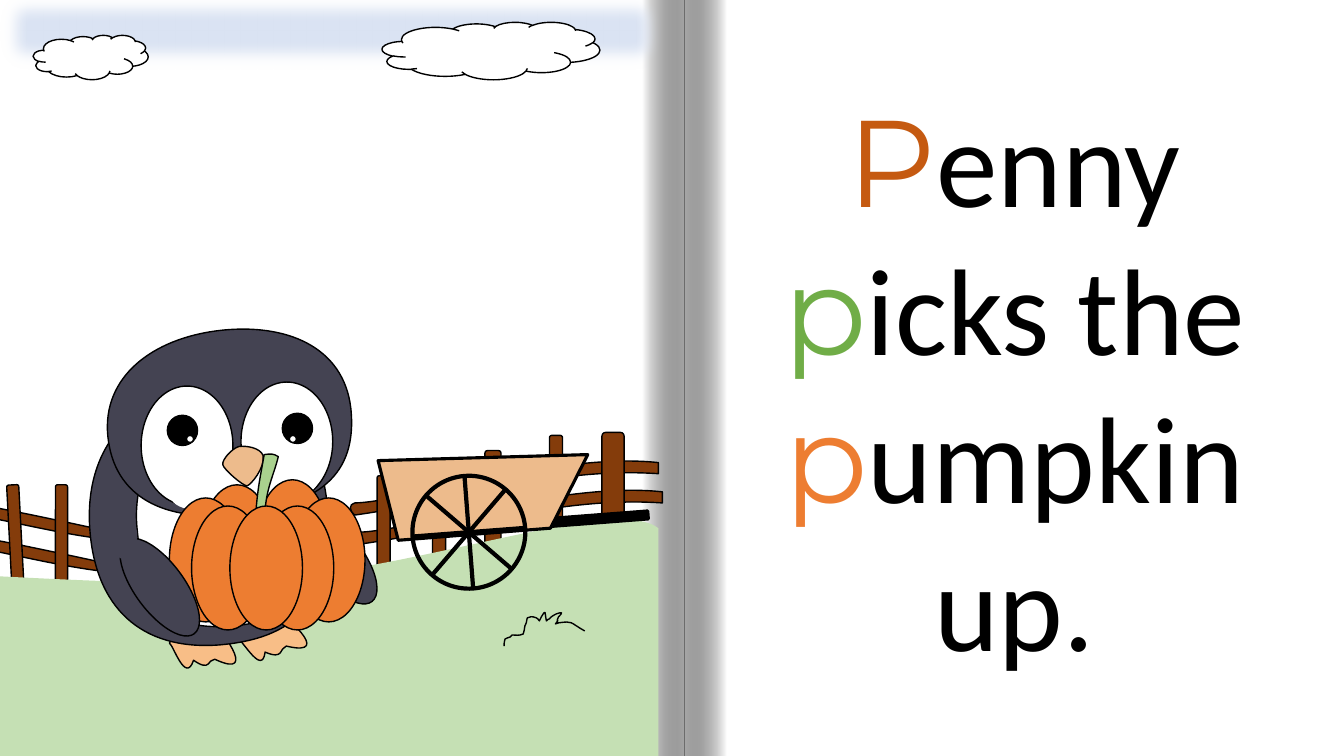
from dataclasses import dataclass
from math import cos, radians, sin

from lxml import etree
from pptx import Presentation
from pptx.dml.color import RGBColor
from pptx.enum.shapes import MSO_CONNECTOR, MSO_SHAPE
from pptx.enum.text import MSO_ANCHOR, MSO_AUTO_SIZE, PP_ALIGN
from pptx.oxml.ns import qn
from pptx.util import Inches, Pt

RECT, ROUNDED = MSO_SHAPE.RECTANGLE, MSO_SHAPE.ROUNDED_RECTANGLE
OVAL, CLOUD = MSO_SHAPE.OVAL, MSO_SHAPE.CLOUD
STRAIGHT = MSO_CONNECTOR.STRAIGHT


@dataclass(frozen=True)
class Theme:
    black: str = "000000"
    white: str = "FFFFFF"
    sky: str = "DAE3F3"
    grass: str = "C5E0B4"
    wood: str = "843C0B"
    feather: str = "444352"
    foot: str = "F8BE87"
    tan: str = "EDBB8C"
    orange: str = "ED7D31"
    stem: str = "A9D18E"
    rust: str = "C55A11"
    green: str = "70AD47"
    body_font: str = "Calibri"
    letter_font: str = "Montserrat"
    size: int = 88


T = Theme()


def curve_points(p0, p1, p2, p3, steps=12):
    for i in range(steps + 1):
        t = i / steps
        k = ((1 - t)**3, 3 * t * (1 - t)**2, 3 * t * t * (1 - t), t**3)
        yield tuple(sum(f * p[a] for f, p in zip(k, (p0, p1, p2, p3))) for a in (0, 1))


# Drawing helpers: positions are inches from the region's origin
class Region:
    def __init__(self, shapes, x, y):
        self.shapes, self.x, self.y = shapes, x, y

    def at(self, x, y):
        return Inches(self.x + x), Inches(self.y + y)

    def paint(self, sp, fill, line, width):
        sp.shadow.inherit = False
        if fill:
            sp.fill.solid()
            sp.fill.fore_color.rgb = RGBColor.from_string(fill)
        else:
            sp.fill.background()
        if line:
            sp.line.color.rgb = RGBColor.from_string(line)
            sp.line.width = Pt(width)
        else:
            sp.line.fill.background()
        return sp

    def shape(self, kind, x, y, w, h, fill, line=T.black, width=1, rot=0):
        sp = self.shapes.add_shape(kind, *self.at(x, y), Inches(w), Inches(h))
        sp.rotation = rot
        return self.paint(sp, fill, line, width)

    def outline(self, start, segments, fill, line=T.black, width=1, close=True):
        """Segments of 2 numbers are lines, of 6 numbers are cubic curves."""
        start = self.at(*start)
        steps = [[self.at(*s[i:i + 2]) for i in range(0, len(s), 2)] for s in segments]
        builder = self.shapes.build_freeform(*start, scale=1.0)
        builder.add_line_segments([s[-1] for s in steps], close=close)
        sp = builder.convert_to_shape()
        # Frame the true extent of the curves
        extent, last = [start], start
        for s in steps:
            extent += curve_points(last, *s) if len(s) == 3 else s
            last = s[-1]
        xs, ys = ([int(v) for v in axis] for axis in zip(*extent))
        sp.left, sp.top = min(xs), min(ys)
        sp.width, sp.height = max(xs) - sp.left, max(ys) - sp.top
        path = sp._element.spPr.find(".//" + qn("a:path"))
        path.set("w", str(sp.width))
        path.set("h", str(sp.height))
        # Turn the straight steps into curves where control points are given
        for node, pts in zip(list(path), [[start]] + steps):
            node.clear()
            if len(pts) == 3:
                node_curve = etree.Element(qn("a:cubicBezTo"))
                path.replace(node, node_curve)
                node = node_curve
            for px, py in pts:
                etree.SubElement(node, qn("a:pt"), x=str(px - sp.left), y=str(py - sp.top))
        return self.paint(sp, fill, line, width)

    def line(self, x1, y1, x2, y2, width):
        cx = self.shapes.add_connector(STRAIGHT, *self.at(x1, y1), *self.at(x2, y2))
        cx.line.color.rgb = RGBColor.from_string(T.black)
        cx.line.width = Pt(width)
        etree.SubElement(cx._element.spPr, qn("a:effectLst"))


def group(slide, x, y):
    return Region(slide.shapes.add_group_shape().shapes, x, y)


# White pages with the shaded fold between them
def draw_pages(slide, x, y, w, h):
    pages = group(slide, x, y)
    pages.shape(RECT, 0, 0, w, h, T.white, None)
    for left, flipped in ((6.79, False), (6.37, True)):
        sp = pages.shape(RECT, left, 0, 0.42, h, T.white, None)
        sp.fill.gradient()
        sp.fill.gradient_angle = 180
        outer, inner = sp.fill.gradient_stops
        outer.position, inner.position = 0, 1
        outer.color.rgb = RGBColor.from_string(T.white)
        inner.color.rgb = RGBColor.from_string(T.black)
        clr = sp._element.spPr.find(".//" + qn("a:gs") + "[2]")[0]
        etree.SubElement(clr, qn("a:alpha"), val="34000")
        if flipped:
            sp._element.spPr.find(qn("a:xfrm")).set("flipH", "1")


# Sky and clouds
def draw_sky(slide, x, y):
    sky = Region(slide.shapes, x, y)
    band = sky.shape(RECT, -0.05, -0.12, 6.67, 0.85, T.sky, T.sky)
    effects = band._element.spPr.find(qn("a:effectLst"))
    etree.SubElement(effects, qn("a:softEdge"), rad=str(Pt(12.5)))
    sky.shape(CLOUD, 0.33, 0.35, 1.14, 0.44, T.white)
    sky.shape(CLOUD, 3.79, 0.22, 2.16, 0.57, T.white)


# Fence, hill and tuft of grass
def draw_field(slide, x, y):
    left_rail = (0.98, 5.25), [
        (-0.5, 4.93, -2.05, 4.59, -3.6, 5.02), (-3.58, 5.12),
        (-1.32, 4.66, -0.16, 5.19, 0.97, 5.34), (1, 5.32, 1.01, 5.28, 0.98, 5.25)]
    right_rail = (6.53, 4.59), [
        (5.56, 4.48, 4.02, 4.98, 3.52, 4.99), (3.46, 5, 3.46, 5.07, 3.52, 5.11),
        (4.53, 4.97, 5.49, 4.63, 6.53, 4.7)]
    left_posts = [(0.55, 4.81, 0.12, 0.96, 0), (0.09, 4.81, 0.12, 0.95, 357)]
    right_posts = [(5.97, 4.29, 0.22, 0.94, 0), (5.45, 4.32, 0.13, 0.94, 0),
                   (4.81, 4.47, 0.16, 0.94, 0), (4.29, 4.57, 0.13, 0.94, 0),
                   (3.74, 4.72, 0.13, 0.93, 0)]
    field = group(slide, x, y)
    for rail, dx, dy, posts in ((left_rail, -0.01, 0.32, left_posts),
                                (right_rail, 0.04, 0.29, right_posts)):
        field.outline(*rail, T.wood)
        Region(field.shapes, x + dx, y + dy).outline(*rail, T.wood)
        for *box, rot in posts:
            field.shape(ROUNDED, *box, T.wood, rot=rot)
    field.outline((6.53, 5.24), [
        (6.09, 4.9, 4.09, 5.69, 2.4, 5.77), (0.71, 5.86, -2.56, 5.43, -3.63, 5.77),
        (-3.58, 8.84), (6.53, 8.84)], T.grass, None)
    field.outline((5.8, 6.26), [
        (5.64, 6.17, 5.69, 6.16, 5.54, 6.18), (5.53, 6.18, 5.52, 6.19, 5.51, 6.19),
        (5.57, 6.11, 5.5, 6.21, 5.54, 6.12), (5.55, 6.1, 5.58, 6.09, 5.57, 6.08),
        (5.56, 6.07, 5.54, 6.09, 5.52, 6.09), (5.5, 6.1, 5.46, 6.12, 5.45, 6.14),
        (5.44, 6.14, 5.43, 6.15, 5.42, 6.16), (5.4, 6.07, 5.42, 6.04, 5.37, 6.12),
        (5.36, 6.13, 5.36, 6.15, 5.35, 6.16), (5.34, 6.15, 5.33, 6.13, 5.32, 6.13),
        (5.27, 6.11, 5.26, 6.12, 5.23, 6.13), (5.23, 6.15, 5.22, 6.16, 5.22, 6.18),
        (5.21, 6.2, 5.2, 6.22, 5.2, 6.25), (5.19, 6.26, 5.2, 6.28, 5.19, 6.29),
        (5.15, 6.31, 5.11, 6.3, 5.08, 6.3), (5.07, 6.31, 5.06, 6.32, 5.06, 6.32),
        (5.04, 6.33, 5.02, 6.33, 5.01, 6.34), (5, 6.36, 5, 6.39, 5, 6.41)],
        None, close=False)


# Penguin, holding the pumpkin in front and behind one wing
def draw_penguin(slide, x, y):
    bird = group(slide, x, y)
    bird.shape(OVAL, 3.09, 4.94, 0.49, 1.15, T.feather, rot=321.8)
    bird.outline((2.09, 6.17), [
        (1.86, 6.09), (1.68, 6.38), (1.72, 6.4, 1.84, 6.79, 1.92, 6.55),
        (2.09, 6.67, 2.06, 6.54, 2.13, 6.54), (2.6, 6.76, 2.14, 6.17, 2.09, 6.17)], T.foot)
    bird.outline((2.73, 6.06), [
        (2.49, 6.02), (2.36, 6.34), (2.41, 6.35, 2.6, 6.71, 2.63, 6.47),
        (2.82, 6.55, 2.77, 6.43, 2.84, 6.41), (3.34, 6.53, 2.77, 6.05, 2.73, 6.06)], T.foot)
    # Body, belly and head
    bird.outline((0.89, 5.23), [
        (0.84, 4.42, 1.33, 3.93, 1.98, 3.88), (2.63, 3.84, 3.19, 4.2, 3.25, 5.06),
        (3.32, 5.98, 2.92, 6.34, 2.16, 6.4), (1.41, 6.45, 0.94, 6.04, 0.89, 5.23)], T.feather)
    bird.outline((1.36, 5.25), [
        (1.3, 4.67, 1.63, 4.16, 2.1, 4.11), (2.56, 4.06, 2.99, 4.49, 3.05, 5.07),
        (3.11, 5.65, 3.12, 6.13, 2.32, 6.21), (1.51, 6.28, 1.42, 5.83, 1.36, 5.25)], T.white)
    bird.shape(OVAL, 3.01, 4.44, 0.19, 0.36, T.feather, None, rot=339.9)
    bird.outline((1.07, 4.33), [
        (1.01, 3.74, 1.51, 3.36, 2.17, 3.28), (2.84, 3.2, 3.41, 3.44, 3.48, 4.05),
        (3.55, 4.72, 3.15, 5.01, 2.38, 5.1), (1.61, 5.19, 1.13, 4.92, 1.07, 4.33)], T.feather)
    # Eyes, cheeks and beak
    for ex, ey in ((2.39, 3.79), (1.4, 3.83)):
        bird.shape(OVAL, ex, ey, 0.91, 1.18, T.white)
    for px, py, glint in ((2.8, 4.1, 2.87), (1.66, 4.12, 1.85)):
        bird.shape(OVAL, px, py, 0.3, 0.3, T.black)
        bird.shape(OVAL, glint, 4.32, 0.07, 0.07, T.white)
    bird.outline((2.39, 4.49), [
        (2.8, 4.45, 3.15, 4.54, 3.16, 4.7), (3.18, 4.86, 3.04, 4.98, 2.45, 5.06),
        (1.78, 5.11, 1.69, 5.02, 1.67, 4.86), (1.65, 4.7, 1.97, 4.54, 2.39, 4.49)],
        T.white, None)
    bird.outline((2.21, 4.61), [
        (2.2, 4.56, 2.3, 4.45, 2.37, 4.43), (2.44, 4.42, 2.58, 4.44, 2.61, 4.52),
        (2.63, 4.64, 2.49, 4.81, 2.45, 4.82), (2.41, 4.82, 2.22, 4.66, 2.21, 4.61)], T.tan)
    draw_pumpkin(bird.shapes, x + 1.68, y + 4.5)
    bird.shape(OVAL, 1.34, 5.25, 0.49, 1.15, T.feather, rot=323.6)
    bird.shape(OVAL, 1.16, 5.19, 0.19, 0.36, T.feather, None, rot=17.7)


def draw_pumpkin(shapes, x, y):
    pumpkin = Region(shapes, x, y)
    back = [(0.86, 0.26), (0.31, 0.31)]
    front = [(1.22, 0.44), (0, 0.44), (0.91, 0.52), (0.22, 0.52), (0.6, 0.52)]
    for i, (lx, ly) in enumerate(back + front):
        if i == len(back):
            pumpkin.outline((1.08, 0.03), [
                (1.03, 0, 1.01, 0, 0.94, 0.01), (0.91, 0.19, 0.88, 0.31, 0.86, 0.55),
                (0.95, 0.55), (0.97, 0.32, 1.04, 0.2, 1.08, 0.03)], T.stem)
        pumpkin.shape(OVAL, lx, ly, 0.72, 1.23, T.orange)


# Cart with its handle and spoked wheel
def draw_cart(slide, x, y):
    tilt, hub_x, hub_y, radius = -4.4, 0.9, 0.78, 0.56
    cart = group(slide, x, y)
    cart.shape(RECT, 1.34, 0.62, 1.34, 0.08, T.black, width=2.25, rot=tilt)
    cart.outline((0, 0.07), [(2.08, 0.01), (1.71, 0.74), (0.2, 0.86)], T.tan, width=2.25)
    cart.shape(OVAL, hub_x - radius, hub_y - radius, 2 * radius, 2 * radius, None,
               width=3, rot=tilt)
    for angle in (radians(tilt + 45 * k) for k in (2, 0, 1, 3)):
        dx, dy = radius * cos(angle), radius * sin(angle)
        cart.line(hub_x - dx, hub_y - dy, hub_x + dx, hub_y + dy, 3)


# Sentence on the right page
def write_sentence(slide, x, y, w, h):
    title = slide.shapes.title
    slide.shapes[-1]._element.addnext(title._element)
    title.left, title.top, title.width, title.height = map(Inches, (x, y, w, h))
    tf = title.text_frame
    tf.word_wrap = True
    tf.auto_size = MSO_AUTO_SIZE.SHAPE_TO_FIT_TEXT
    tf.vertical_anchor = MSO_ANCHOR.TOP
    p = tf.paragraphs[0]
    p.alignment = PP_ALIGN.CENTER
    p.font.size = Pt(T.size)
    for letter, color, rest in (("P", T.rust, "enny "), ("p", T.green, "icks the "),
                                ("p", T.orange, "umpkin up.")):
        for text, font, rgb in ((letter, T.letter_font, color), (rest, T.body_font, T.black)):
            r = p.add_run()
            r.text, r.font.name = text, font
            r.font.color.rgb = RGBColor.from_string(rgb)


def main():
    prs = Presentation()
    prs.slide_width, prs.slide_height = Inches(13.33), Inches(7.5)
    slide = prs.slides.add_slide(prs.slide_layouts[5])
    slide.background.fill.solid()
    slide.background.fill.fore_color.rgb = RGBColor.from_string(T.black)
    draw_pages(slide, 0, 0, 13.33, 7.5)
    write_sentence(slide, 6.96, 0.79, 6.2, 6.02)
    draw_sky(slide, 0, 0)
    draw_field(slide, 0, 0)
    draw_penguin(slide, 0, 0)
    draw_cart(slide, 3.75, 4.5)
    prs.save("out.pptx")


if __name__ == "__main__":
    main()
